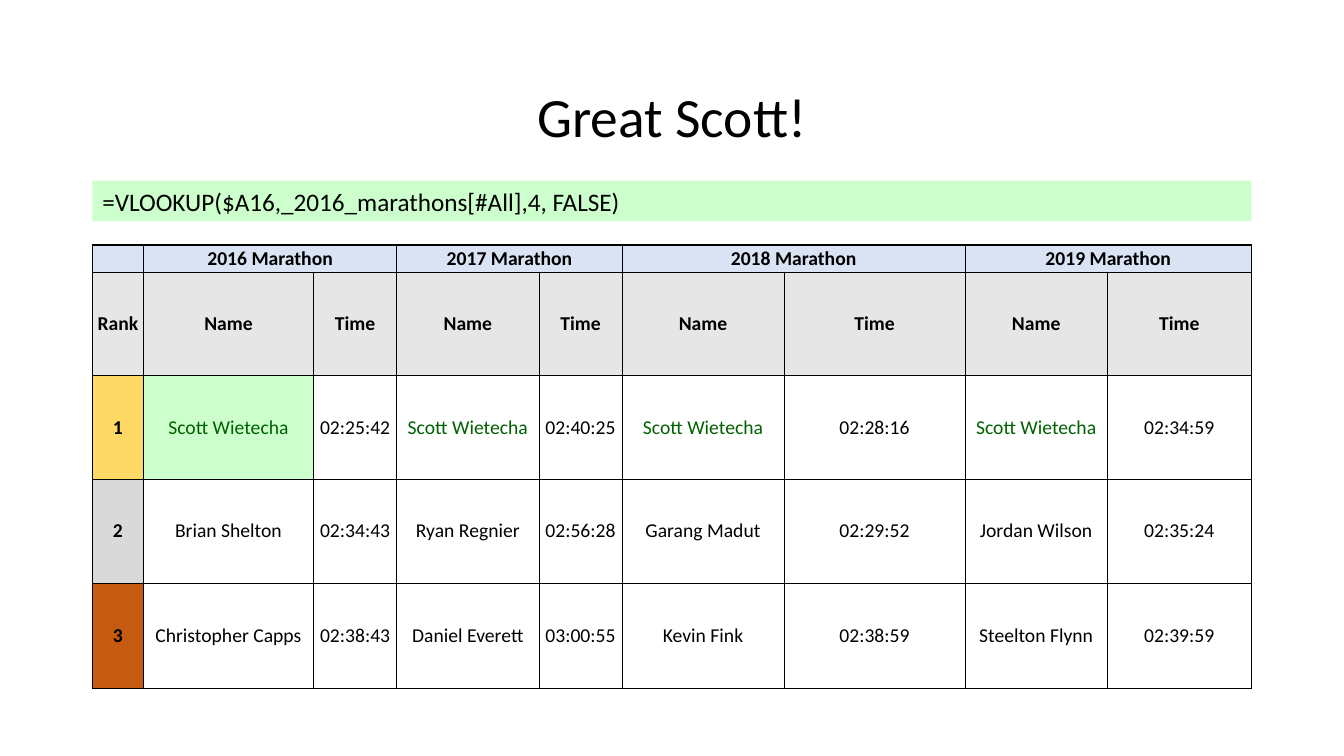
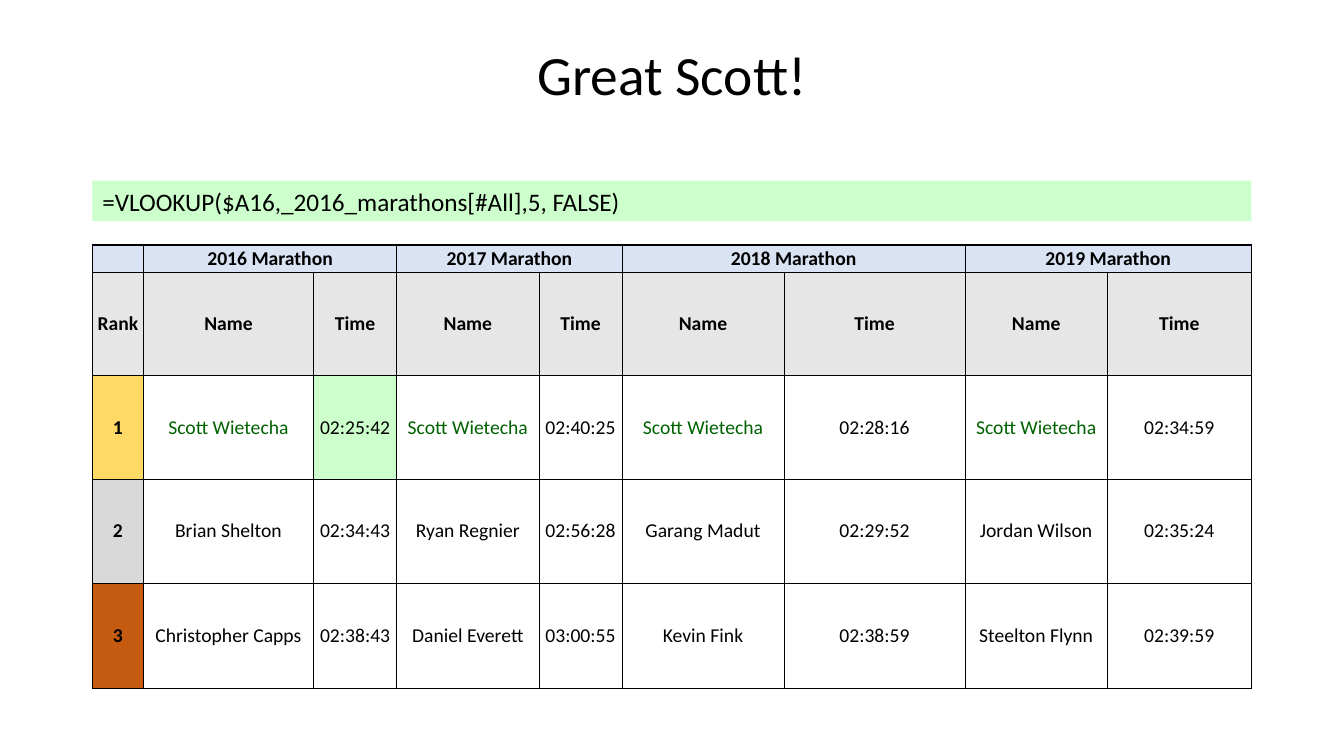
from lxml import etree
from pptx import Presentation
from pptx.dml.color import RGBColor
from pptx.enum.shapes import MSO_SHAPE
from pptx.enum.text import MSO_ANCHOR, MSO_AUTO_SIZE, PP_ALIGN
from pptx.oxml.ns import qn
from pptx.util import Pt

RECT = MSO_SHAPE.RECTANGLE
MIDDLE = MSO_ANCHOR.MIDDLE
GROW = MSO_AUTO_SIZE.SHAPE_TO_FIT_TEXT
LEFT, CENTER = PP_ALIGN.LEFT, PP_ALIGN.CENTER

COLORS = {
    "black": "000000", "mark": "CCFFCC", "winner": "006100",
    "year": "DAE3F3", "head": "E7E6E6",
    "gold": "FFD966", "silver": "D9D9D9", "bronze": "C55A11",
}
FONT = "Calibri"
EDGE, WIDTH = 66, 828
THICK, THIN = 1, 0.5

COLS = [36.5, 121.5, 59.5, 101.5, 59.5, 115.5, 129.5, 101.5, 103]
ROWS = [19.5, 74, 74, 74, 75.5]
YEARS = [2016, 2017, 2018, 2019]
STAR = "Scott Wietecha"
MEDALS = ["gold", "silver", "bronze"]
DATA = [
    [""] + [text for year in YEARS for text in (f"{year} Marathon", "")],
    ["Rank"] + ["Name", "Time"] * len(YEARS),
    ["1", STAR, "02:25:42", STAR, "02:40:25",
     STAR, "02:28:16", STAR, "02:34:59"],
    ["2", "Brian Shelton", "02:34:43", "Ryan Regnier", "02:56:28",
     "Garang Madut", "02:29:52", "Jordan Wilson", "02:35:24"],
    ["3", "Christopher Capps", "02:38:43", "Daniel Everett", "03:00:55",
     "Kevin Fink", "02:38:59", "Steelton Flynn", "02:39:59"],
]
FIRST = 2  # row of the first ranked runner


def border(cell, side, width):
    line = etree.SubElement(cell._tc.get_or_add_tcPr(), qn(f"a:ln{side}"),
                            w=str(Pt(width)))
    fill = etree.SubElement(line, qn("a:solidFill"))
    etree.SubElement(fill, qn("a:srgbClr"), val=COLORS["black"])


def widths(row, col):
    """Border widths of a cell: thin inside a year and between runners."""
    name, time = col % 2 == 1, col > 0 and col % 2 == 0
    thin = {
        "L": row > 0 and time,
        "R": row > 0 and name,
        "T": row > FIRST,
        "B": FIRST <= row < len(ROWS) - 1,
    }
    return {side: THIN if slim else THICK for side, slim in thin.items()}


def shade(row, col, mark):
    """Name of a cell's fill colour, or None."""
    if row < FIRST:
        return ["year", "head"][row]
    if col == 0:
        return MEDALS[row - FIRST]
    return "mark" if (row, col) == (FIRST, mark) else None


class Deck:
    def __init__(self):
        self.prs = Presentation()
        self.prs.slide_width, self.prs.slide_height = Pt(960), Pt(540)
        self.slide = None

    def label(self, frame, text, size, color="black", bold=False,
              align=CENTER):
        frame.text = text
        para = frame.paragraphs[0]
        para.alignment = align
        for run in para.runs:
            font = run.font
            font.name, font.size, font.bold = FONT, Pt(size), bold
            font.color.rgb = RGBColor.from_string(COLORS[color])
        if not text:
            etree.SubElement(para._p, qn("a:endParaRPr"), sz=str(size * 100))

    def paint(self, item, color):
        item.fill.solid()
        item.fill.fore_color.rgb = RGBColor.from_string(COLORS[color])

    def title(self, text, top):
        self.slide = self.prs.slides.add_slide(self.prs.slide_layouts[5])
        title = self.slide.shapes.title
        title.left, title.top = Pt(EDGE), Pt(top)
        title.width, title.height = Pt(WIDTH), Pt(53)
        frame = title.text_frame
        frame.vertical_anchor = MIDDLE
        self.label(frame, text, 39.6)
        frame.paragraphs[0].line_spacing = 0.9

    def table(self, top, mark):
        """Results table; mark is the column lit in the winner's row."""
        table = self.slide.shapes.add_table(
            len(ROWS), len(COLS), Pt(EDGE), Pt(top), Pt(WIDTH),
            Pt(sum(ROWS))).table
        table.first_row = table.horz_banding = False
        for col, width in zip(table.columns, COLS):
            col.width = Pt(width)
        for r, (line, height) in enumerate(zip(DATA, ROWS)):
            table.rows[r].height = Pt(height)
            for c, text in enumerate(line):
                self.cell(table.cell(r, c), text, r, c, mark)
        for c in range(1, len(COLS), 2):
            table.cell(0, c).merge(table.cell(0, c + 1))

    def cell(self, cell, text, row, col, mark):
        cell.margin_left = cell.margin_right = 0
        cell.margin_top = cell.margin_bottom = 0
        cell.vertical_anchor = MIDDLE
        self.label(cell.text_frame, text, 14,
                   "winner" if text == STAR else "black",
                   row < FIRST or col == 0)
        for side, width in widths(row, col).items():
            border(cell, side, width)
        color = shade(row, col, mark)
        if color:
            self.paint(cell, color)
        else:
            cell.fill.background()

    def bar(self, text, top):
        bar = self.slide.shapes.add_shape(
            RECT, Pt(EDGE), Pt(top), Pt(WIDTH), Pt(29))
        bar.shadow.inherit = False
        bar.line.fill.background()
        self.paint(bar, "mark")
        frame = bar.text_frame
        frame.word_wrap, frame.auto_size = True, GROW
        self.label(frame, text, 18, align=LEFT)


def main():
    deck = Deck()
    for top, mark, index in [(59, 1, 4), (29, 2, 5)]:
        deck.title("Great Scott!", top)
        deck.table(175, mark)
        deck.bar(f"=VLOOKUP($A16,_2016_marathons[#All],{index}, FALSE)", 129)
    deck.prs.save("out.pptx")


if __name__ == "__main__":
    main()
